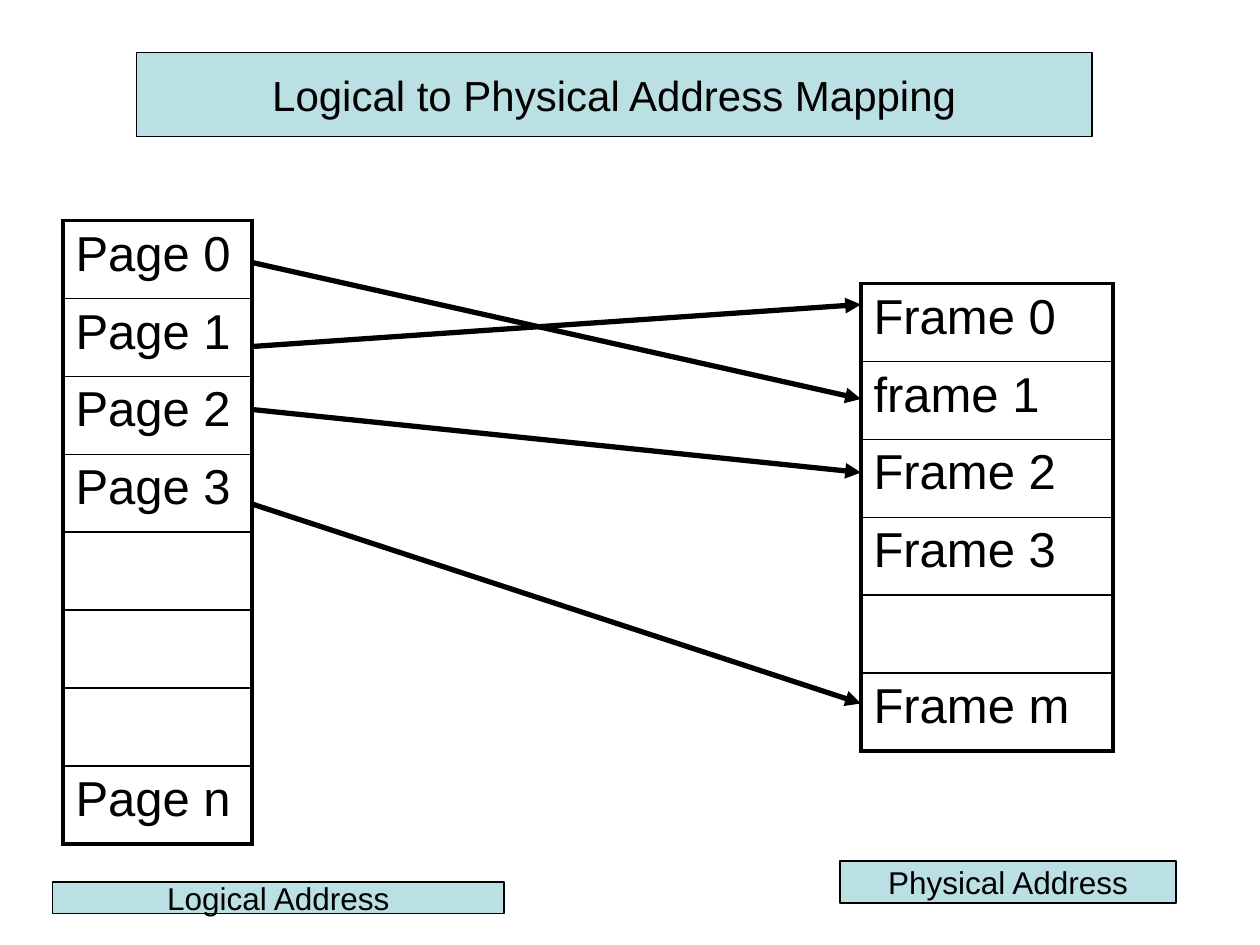
from lxml import etree
from pptx import Presentation
from pptx.dml.color import RGBColor
from pptx.enum.shapes import MSO_CONNECTOR, MSO_SHAPE
from pptx.enum.text import MSO_ANCHOR, PP_ALIGN
from pptx.oxml import parse_xml
from pptx.oxml.ns import nsdecls, qn
from pptx.util import Pt

BLACK = RGBColor(0x00, 0x00, 0x00)
PALE_TEAL = RGBColor(0xBB, 0xE0, 0xE3)
ROW_HEIGHT = 44.55


def write(tf, text, size=28, align=PP_ALIGN.LEFT):
    p = tf.paragraphs[0]
    p.alignment = align
    r = p.add_run()
    r.text = text
    r.font.name = "Arial"
    r.font.size = Pt(size)
    r.font.color.rgb = BLACK


def add_border(cell, side, width):
    cell._tc.get_or_add_tcPr().append(parse_xml(
        f'<a:{side} {nsdecls("a")} w="{Pt(width)}"><a:solidFill>'
        f'<a:srgbClr val="{BLACK}"/></a:solidFill></a:{side}>'))


prs = Presentation()
prs.slide_width, prs.slide_height = Pt(720), Pt(540)
slide = prs.slides.add_slide(prs.slide_layouts[6])

# Page and frame tables: left, top, width, row labels
tables = [
    (36, 126, 108, ["Page 0", "Page 1", "Page 2", "Page 3", "", "", "", "Page n"]),
    (492, 162, 144, ["Frame 0", "frame 1", "Frame 2", "Frame 3", "", "Frame m"]),
]
for left, top, width, labels in tables:
    last = len(labels) - 1
    table = slide.shapes.add_table(len(labels), 1, Pt(left), Pt(top), Pt(width),
                                   Pt(ROW_HEIGHT * len(labels))).table
    table.first_row = table.horz_banding = False
    for i, label in enumerate(labels):
        table.rows[i].height = Pt(ROW_HEIGHT)
        cell = table.cell(i, 0)
        if label:
            write(cell.text_frame, label)
        add_border(cell, "lnL", 2.25)
        add_border(cell, "lnR", 2.25)
        add_border(cell, "lnT", 2.25 if i == 0 else 1)
        add_border(cell, "lnB", 2.25 if i == last else 1)
        cell.fill.background()

# Mapping arrows from page to frame: start and end heights
for start, end in [(150, 228), (198, 174), (234, 270), (288, 402)]:
    line = slide.shapes.add_connector(MSO_CONNECTOR.STRAIGHT,
                                      Pt(144), Pt(start), Pt(492), Pt(end))
    line.line.color.rgb = BLACK
    line.line.width = Pt(3)
    etree.SubElement(line.line._get_or_add_ln(), qn("a:tailEnd"), type="triangle")
    etree.SubElement(line._element.spPr, qn("a:effectLst"))

# Captions and title
boxes = [
    ("Logical Address", 30, 504, 258, 18, 18),
    ("Physical Address", 480, 492, 192, 24, 18),
    ("Logical to Physical Address Mapping", 78, 30, 546, 48, 24),
]
for text, left, top, width, height, size in boxes:
    sp = slide.shapes.add_shape(MSO_SHAPE.RECTANGLE, Pt(left), Pt(top),
                                Pt(width), Pt(height))
    sp.shadow.inherit = False
    sp.fill.solid()
    sp.fill.fore_color.rgb = PALE_TEAL
    sp.line.color.rgb = BLACK
    sp.line.width = Pt(0.75)
    tf = sp.text_frame
    tf.word_wrap = False
    tf.vertical_anchor = MSO_ANCHOR.MIDDLE
    write(tf, text, size=size, align=PP_ALIGN.CENTER)

prs.save("out.pptx")
